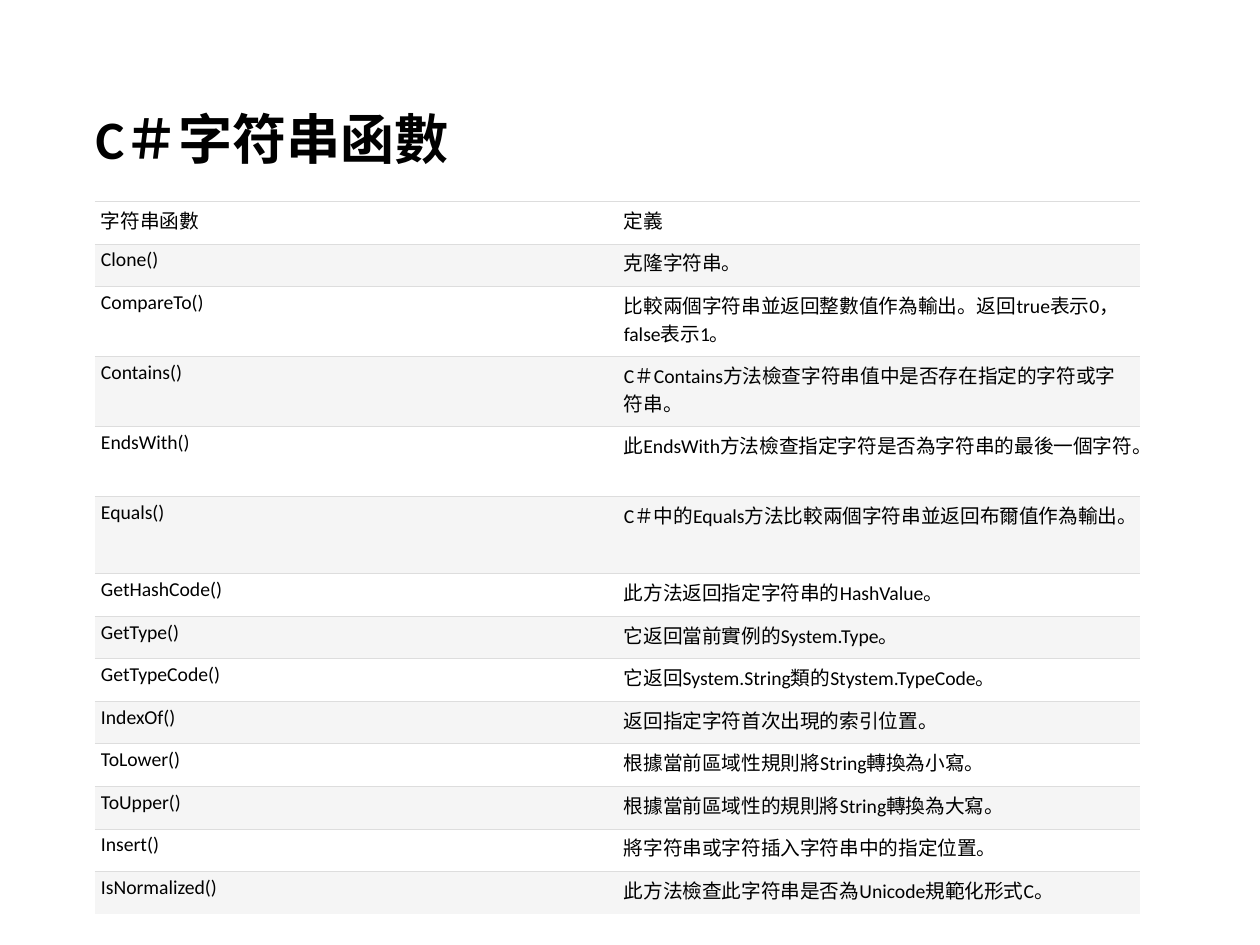
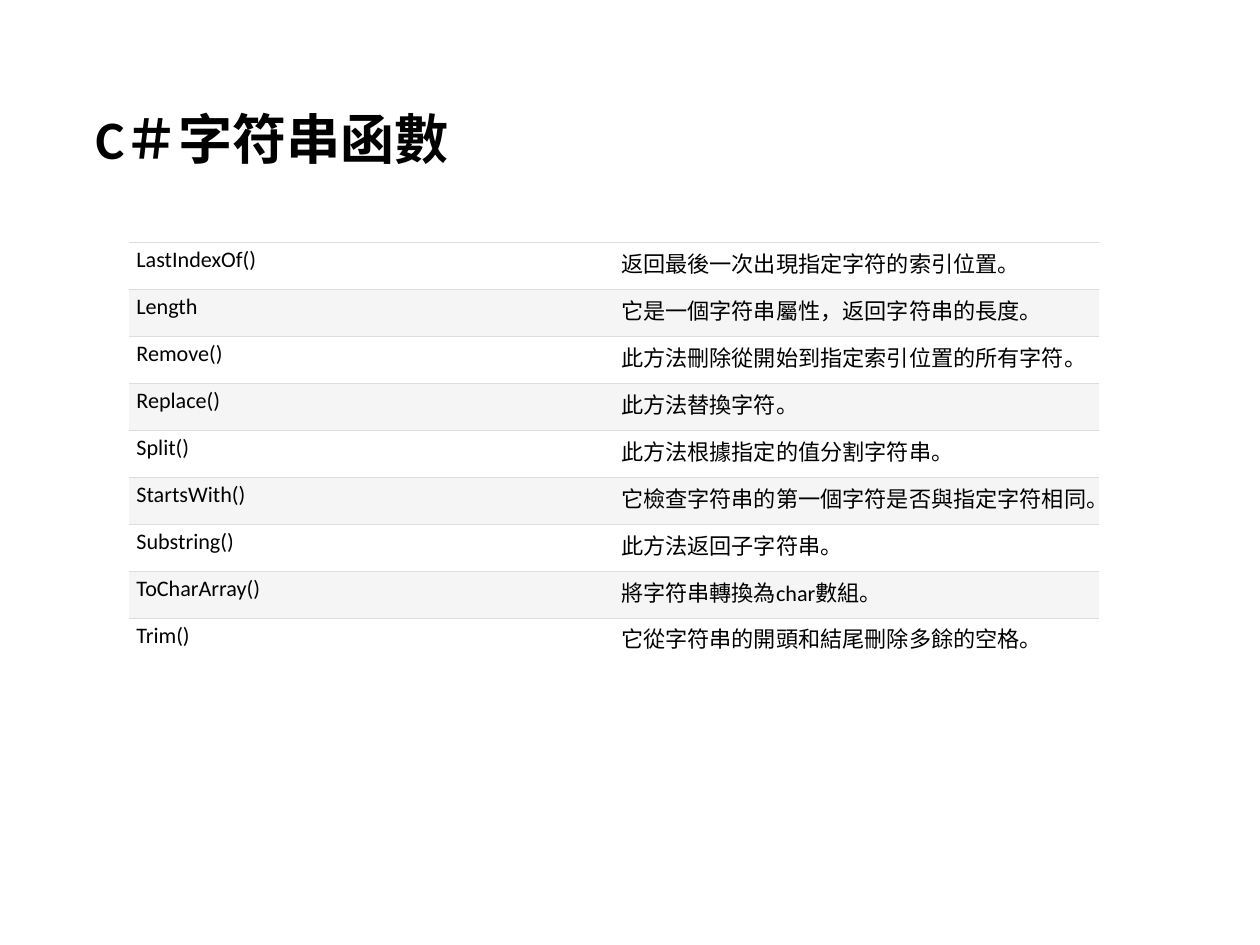
import dataclasses

import lxml.etree
import pptx
import pptx.dml.color
import pptx.enum.text
import pptx.oxml.ns
import pptx.presentation
import pptx.slide
import pptx.table
import pptx.util

Inches = pptx.util.Inches
Pt = pptx.util.Pt


@dataclasses.dataclass(frozen=True)
class Theme:
    font: str = "Calibri"
    text: str = "000000"
    bands: tuple[str, str] = ("FFFFFF", "F5F5F5")
    rule: str = "DDDDDD"
    rule_width: float = 0.34
    title_size: int = 44


@dataclasses.dataclass(frozen=True)
class FunctionTable:
    left: float
    top: float
    column_width: float
    row_height: float
    inset: float
    size: int
    rows: tuple[tuple[str, str], ...]
    tall_rows: dict[int, float] = dataclasses.field(default_factory=dict)


THEME = Theme()
TITLE = "C＃字符串函數"

TABLES = (
    FunctionTable(
        left=1.07, top=2.27, column_width=5.9, row_height=0.48, inset=0.07, size=16,
        tall_rows={2: 0.79, 3: 0.79, 4: 0.79, 5: 0.87},
        rows=(
            ("字符串函數", "定義"),
            ("Clone()", "克隆字符串。"),
            ("CompareTo()", "比較兩個字符串並返回整數值作為輸出。返回true表示0，false表示1。"),
            ("Contains()", "C＃Contains方法檢查字符串值中是否存在指定的字符或字符串。"),
            ("EndsWith()", "此EndsWith方法檢查指定字符是否為字符串的最後一個字符。"),
            ("Equals()", "C＃中的Equals方法比較兩個字符串並返回布爾值作為輸出。"),
            ("GetHashCode()", "此方法返回指定字符串的HashValue。"),
            ("GetType()", "它返回當前實例的System.Type。"),
            ("GetTypeCode()", "它返回System.String類的Stystem.TypeCode。"),
            ("IndexOf()", "返回指定字符首次出現的索引位置。"),
            ("ToLower()", "根據當前區域性規則將String轉換為小寫。"),
            ("ToUpper()", "根據當前區域性的規則將String轉換為大寫。"),
            ("Insert()", "將字符串或字符插入字符串中的指定位置。"),
            ("IsNormalized()", "此方法檢查此字符串是否為Unicode規範化形式C。"),
        ),
    ),
    FunctionTable(
        left=1.46, top=2.73, column_width=5.47, row_height=0.53, inset=0.08, size=18,
        rows=(
            ("LastIndexOf()", "返回最後一次出現指定字符的索引位置。"),
            ("Length", "它是一個字符串屬性，返回字符串的長度。"),
            ("Remove()", "此方法刪除從開始到指定索引位置的所有字符。"),
            ("Replace()", "此方法替換字符。"),
            ("Split()", "此方法根據指定的值分割字符串。"),
            ("StartsWith()", "它檢查字符串的第一個字符是否與指定字符相同。"),
            ("Substring()", "此方法返回子字符串。"),
            ("ToCharArray()", "將字符串轉換為char數組。"),
            ("Trim()", "它從字符串的開頭和結尾刪除多餘的空格。"),
        ),
    ),
)


def set_text(tf: pptx.text.text.TextFrame, text: str, size: int, bold: bool = False) -> None:
    tf.text = text
    font = tf.paragraphs[0].runs[0].font
    font.name = THEME.font
    font.size = Pt(size)
    font.bold = bold
    font.color.rgb = pptx.dml.color.RGBColor.from_string(THEME.text)


def add_title(s: pptx.slide.Slide) -> None:
    tf = s.shapes.add_textbox(Inches(0.98), Inches(0.57), Inches(12.27), Inches(2.06)).text_frame
    tf.word_wrap = True
    tf.vertical_anchor = pptx.enum.text.MSO_ANCHOR.MIDDLE
    set_text(tf, TITLE, THEME.title_size, bold=True)
    tf.paragraphs[0].line_spacing = 0.9


def set_borders(cell: pptx.table._Cell, ruled: tuple[str, ...]) -> None:
    qn = pptx.oxml.ns.qn
    tc_pr = cell._tc.get_or_add_tcPr()
    for side in ("lnL", "lnR", "lnT", "lnB"):
        ln = lxml.etree.SubElement(tc_pr, qn(f"a:{side}"))
        if side in ruled:
            ln.set("w", str(Pt(THEME.rule_width)))
            fill = lxml.etree.SubElement(ln, qn("a:solidFill"))
            lxml.etree.SubElement(fill, qn("a:srgbClr")).set("val", THEME.rule)
        else:
            lxml.etree.SubElement(ln, qn("a:noFill"))


def add_function_table(s: pptx.slide.Slide, spec: FunctionTable) -> None:
    count = len(spec.rows)
    heights = [spec.tall_rows.get(i, spec.row_height) for i in range(count)]
    table = s.shapes.add_table(
        count, 2, Inches(spec.left), Inches(spec.top),
        Inches(2 * spec.column_width), Inches(sum(heights)),
    ).table
    table.first_row = False
    table.horz_banding = False
    for column in table.columns:
        column.width = Inches(spec.column_width)
    for i, texts in enumerate(spec.rows):
        table.rows[i].height = Inches(heights[i])
        ruled = ("lnT", "lnB") if i < count - 1 else ("lnT",)
        for j, text in enumerate(texts):
            cell = table.cell(i, j)
            cell.margin_left = cell.margin_right = Inches(spec.inset)
            cell.margin_top = cell.margin_bottom = Inches(0.05)
            set_text(cell.text_frame, text, spec.size)
            set_borders(cell, ruled)
            cell.fill.solid()
            cell.fill.fore_color.rgb = pptx.dml.color.RGBColor.from_string(THEME.bands[i % 2])


def main() -> None:
    prs = pptx.Presentation()
    prs.slide_width = Inches(14.22)
    prs.slide_height = Inches(10.66)
    for spec in TABLES:
        s = prs.slides.add_slide(prs.slide_layouts[6])
        add_title(s)
        add_function_table(s, spec)
    prs.save("out.pptx")


if __name__ == "__main__":
    main()
